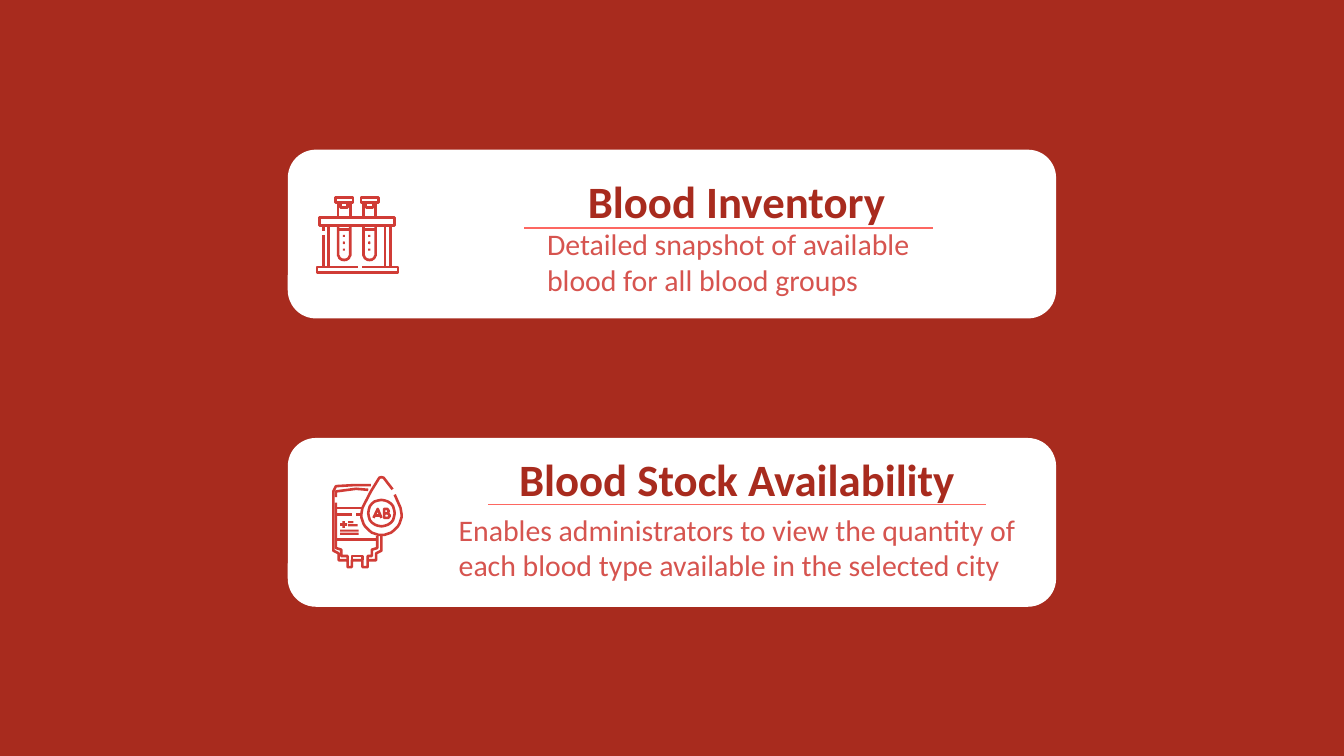
import math

from lxml import etree
from pptx import Presentation
from pptx import util as u
from pptx.dml.color import RGBColor
from pptx.enum import shapes, text
from pptx.oxml.ns import qn

COLOURS = {
    "background": "A82B1E",
    "card": "FFFFFF",
    "title": "A82B1E",
    "body": "D6544F",
    "rule": "FD6761",
    "icon": "D03C36",
}
CARD_LEFT, CARD_WIDTH, CARD_HEIGHT = 5.44, 14.52, 3.19


def colour(name):
    return RGBColor.from_string(COLOURS[name])


def box_outline(left, top, width, height):
    right, bottom = left + width, top + height
    return [(left, top), (right, top), (right, bottom), (left, bottom), (left, top)]


def arc(x, y, radius, start, end, steps=24):
    """Points along a circle, with angles in degrees clockwise from the right."""
    angles = [math.radians(start + (end - start) * i / steps) for i in range(steps + 1)]
    return [(x + radius * math.cos(a), y + radius * math.sin(a)) for a in angles]


def rack_parts():
    """Test tubes in a rack: solid and drawn parts, in hundredths of a centimetre."""
    dots = [[arc(x, y, 2.5, 0, 360)] for x in (54, 102) for y in (102, 89, 76)]
    rack = [
        box_outline(8, 41, 142, 15),
        [(89, 135), (156, 135), (156, 145), (3, 145), (3, 135), (81, 135)],
        [(15, 56), (15, 66)],
        [(15, 74), (15, 135)],
    ]
    rack += [[(x, 56), (x, 135)] for x in (25, 132, 142)]
    for left in (43, 91):
        right, middle = left + 23, left + 11.5
        rack += [
            box_outline(left - 5, 3, 33, 10),
            [(left, 13), (left, 41)],
            [(right, 13), (right, 41)],
            [(left + 5, 13), (left + 5, 22), (right - 5, 22), (right - 5, 13)],
            [(left, 64), (right, 64)],
            [(right, 56)] + arc(middle, 110, 11.5, 0, 180) + [(left, 56)],
        ]
    return dots, [rack]


def blood_bag_parts():
    """A blood bag behind a drop marked AB: solid and drawn parts, in the same unit."""
    plus = [(20, 86), (25, 86), (25, 90), (29, 90), (29, 95), (25, 95), (25, 99),
            (20, 99), (20, 95), (16, 95), (16, 90), (20, 90), (20, 86)]
    dashes = [(31, 86, 10), (31, 92, 18), (16, 102, 35), (16, 108, 35)]
    bag = [
        [(74, 18), (43, 18), (8, 20), (3, 30), (3, 142), (13, 147), (13, 160),
         (30, 160), (30, 173), (38, 173), (38, 160), (58, 160), (58, 173),
         (68, 173), (68, 160), (84, 160), (84, 147), (94, 142), (94, 112)],
        [(69, 27), (46, 25), (8, 30), (8, 41)],
        [(8, 51), (8, 137), (18, 140), (18, 152), (30, 152), (30, 160)],
        [(38, 160), (38, 152), (58, 152), (58, 160)],
        [(68, 160), (68, 152), (76, 152), (76, 140), (86, 137), (86, 114)],
    ]
    label = [(10, 56, 61), (10, 38, 74), (46, 54, 74), (10, 83, 121)]
    bag += [[(start, y), (end, y)] for start, end, y in label]
    bag.append([(115, 26), (98, 4), (94, 3), (90, 4), (74, 30)]
               + arc(94, 74, 38, 200, -20) + [(119, 36)])
    ring = [arc(94, 71, 25, 0, 360)]
    letter_a = [[(79, 80), (87, 63), (94, 80)], [(82, 75), (91, 75)]]
    letter_b = [[(99, 72), (99, 63), (105, 63), (108, 67), (106, 71), (99, 72), (99, 80),
                 (107, 80), (110, 76), (106, 71)]]
    solids = [[plus]] + [[box_outline(x, y, width, 4)] for x, y, width in dashes]
    return solids, [bag, ring, letter_a, letter_b]


def add_outline(page, left, top, strokes, solid):
    builder = page.shapes.build_freeform(*strokes[0][0], scale=u.Cm(0.01))
    for index, points in enumerate(strokes):
        if index:
            builder.move_to(*points[0])
        builder.add_line_segments(points[1:], close=points[0] == points[-1])
    outline = builder.convert_to_shape(u.Cm(left), u.Cm(top))
    outline.shadow.inherit = False
    if solid:
        outline.fill.solid()
        outline.fill.fore_color.rgb = colour("icon")
        outline.line.fill.background()
    else:
        outline.fill.background()
        outline.line.color.rgb = colour("icon")
        outline.line.width = u.Pt(1.4)


def add_icon(page, left, top, parts):
    for group, solid in zip(parts, (True, False)):
        for strokes in group:
            add_outline(page, left, top, strokes, solid)


def add_text(page, left, top, width, height, words, size, shade, bold=False):
    box = page.shapes.add_textbox(u.Cm(left), u.Cm(top), u.Cm(width), u.Cm(height))
    frame = box.text_frame
    frame.word_wrap = True
    frame.auto_size = text.MSO_AUTO_SIZE.SHAPE_TO_FIT_TEXT
    frame.text = words
    font = frame.paragraphs[0].runs[0].font
    font.name, font.size, font.bold = "Calibri", u.Pt(size), bold
    font.color.rgb = colour(shade)


def add_rule(page, left, top, width):
    rule = page.shapes.add_connector(shapes.MSO_CONNECTOR.STRAIGHT, u.Cm(left), u.Cm(top),
                                     u.Cm(left + width), u.Cm(top))
    rule.line.color.rgb = colour("rule")
    rule.line.width = u.Pt(0.75)
    etree.SubElement(rule._element.spPr, qn("a:effectLst"))


def add_card(page, left, top, title, body, icon_parts, places):
    """Places are (left, top, width) within the card, icons without a width."""
    card = page.shapes.add_shape(shapes.MSO_SHAPE.ROUNDED_RECTANGLE, u.Cm(left), u.Cm(top),
                                 u.Cm(CARD_WIDTH), u.Cm(CARD_HEIGHT))
    card.shadow.inherit = False
    card.fill.solid()
    card.fill.fore_color.rgb = colour("card")
    card.line.fill.background()
    spots = {part: (left + x, top + y, *width) for part, (x, y, *width) in places.items()}
    add_icon(page, *spots["icon"], icon_parts)
    add_rule(page, *spots["rule"])
    add_text(page, *spots["title"], 1.27, title, 24, "title", bold=True)
    add_text(page, *spots["body"], 1.63, body, 16, "body")


def main():
    deck = Presentation()
    deck.slide_width, deck.slide_height = u.Cm(25.4), u.Cm(14.29)
    page = deck.slides.add_slide(deck.slide_layouts[6])
    page.background.fill.solid()
    page.background.fill.fore_color.rgb = colour("background")
    add_card(page, CARD_LEFT, 2.83, "Blood Inventory",
             "Detailed snapshot of available blood for all blood groups", rack_parts(),
             {"icon": (0.52, 0.87), "rule": (4.47, 1.48, 7.73),
              "title": (5.42, 0.32, 7.19), "body": (4.65, 1.31, 7.72)})
    add_card(page, CARD_LEFT, 8.28, "Blood Stock Availability",
             "Enables administrators to view the quantity of each blood type available"
             " in the selected city", blood_bag_parts(),
             {"icon": (0.83, 0.71), "rule": (3.79, 1.26, 9.4),
              "title": (4.12, 0.14, 9.19), "body": (2.98, 1.26, 11.48)})
    deck.save("out.pptx")


if __name__ == "__main__":
    main()
